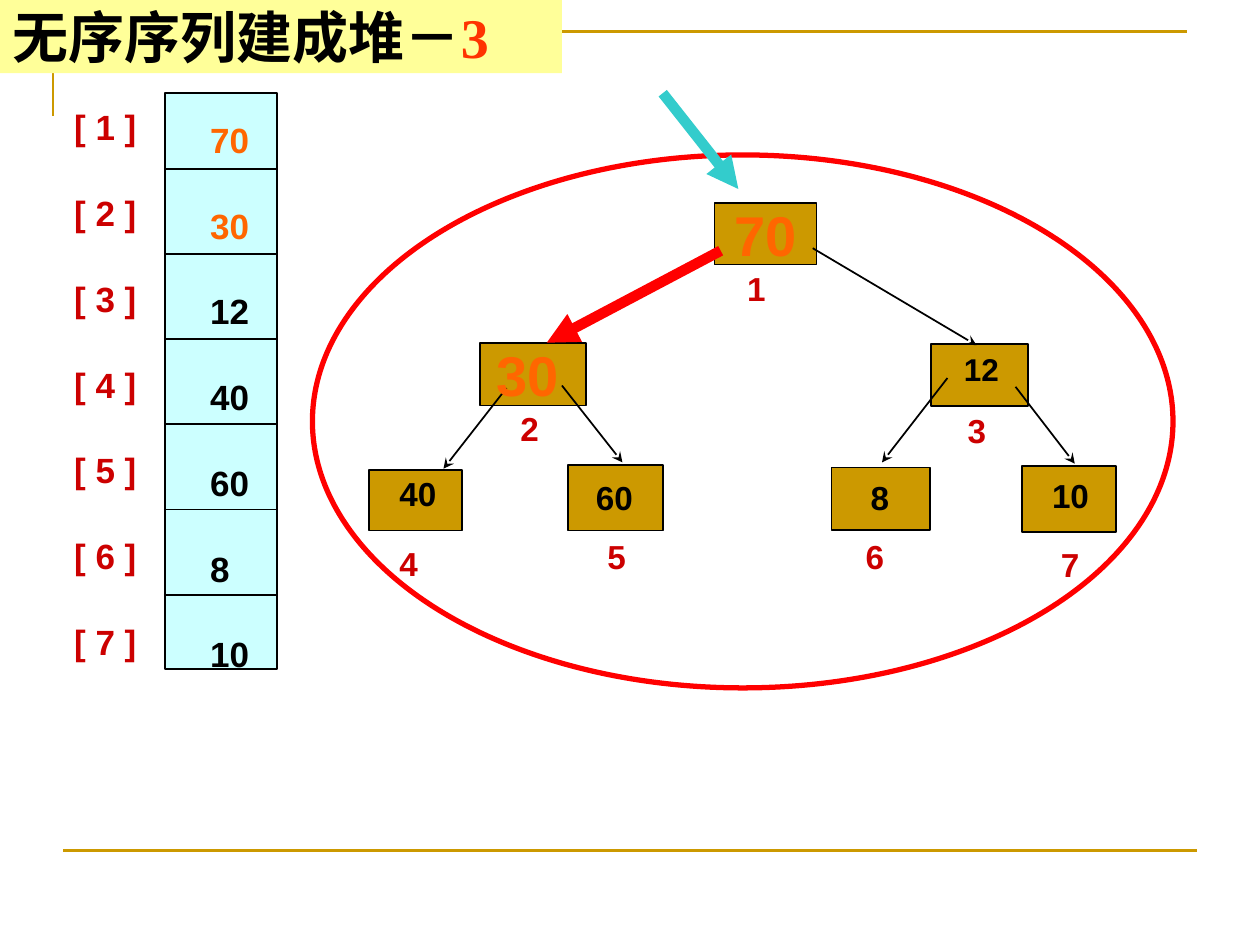
"""Build the slide showing step 3 of turning an unsorted sequence into a heap."""
from dataclasses import dataclass

from lxml.etree import SubElement
from pptx import Presentation
from pptx.dml.color import RGBColor
from pptx.enum.shapes import MSO_CONNECTOR, MSO_SHAPE
from pptx.enum.text import MSO_ANCHOR, PP_ALIGN
from pptx.oxml.ns import qn
from pptx.util import Inches, Pt


@dataclass(frozen=True)
class Theme:
    black: str = "000000"
    white: str = "FFFFFF"
    gold: str = "CC9900"
    red: str = "FF0000"
    index: str = "CC0000"
    moved: str = "FF6600"
    step: str = "FF3300"
    pointer: str = "33CCCC"
    array: str = "CCFFFF"
    banner: str = "FFFF99"
    title_size: int = 32
    array_size: int = 20
    node_size: int = 19
    small_size: int = 18
    body_font: str = "Arial"
    title_font: str = "Times New Roman"


theme = Theme()


def add_text(left, top, width, height, lines, size, margins=(0.08, 0.04), gap=0):
    box = page.shapes.add_textbox(Inches(left), Inches(top), Inches(width), Inches(height))
    frame = box.text_frame
    frame.word_wrap = True
    frame.margin_left = frame.margin_right = Inches(margins[0])
    frame.margin_top = frame.margin_bottom = Inches(margins[1])
    for number, (text, color) in enumerate(lines):
        para = frame.paragraphs[0] if number == 0 else frame.add_paragraph()
        if number:
            para.space_before = Pt(gap)
        span = para.add_run()
        span.text = text
        span.font.name, span.font.size, span.font.bold = theme.body_font, Pt(size), True
        span.font.color.rgb = RGBColor.from_string(color)


def add_line(start, end, color=theme.black, width=1, arrow=None):
    line = page.shapes.add_connector(MSO_CONNECTOR.STRAIGHT, *map(Inches, start + end))
    line.line.color.rgb = RGBColor.from_string(color)
    line.line.width = Pt(width)
    if arrow:
        SubElement(line.line._get_or_add_ln(), qn("a:tailEnd"), type=arrow)
    SubElement(line._element.spPr, qn("a:effectLst"))


deck = Presentation()
deck.slide_width, deck.slide_height = Inches(10), Inches(7.5)
page = deck.slides.add_slide(deck.slide_layouts[6])

builder = page.shapes.build_freeform(Inches(0.42), Inches(0.92))
builder.add_line_segments([(Inches(0.42), Inches(0.25)), (Inches(9.42), Inches(0.25))], close=False)
corner = builder.convert_to_shape()
corner.shadow.inherit = False
corner.fill.background()
corner.line.color.rgb = RGBColor.from_string(theme.gold)
corner.line.width = Pt(1.5)
add_line((0.5, 6.75), (9.5, 6.75), theme.gold, 1.5)

node_boxes = [
    (5.67, 1.61, 0.81, 0.49), (3.81, 2.72, 0.84, 0.5), (7.39, 2.73, 0.77, 0.49),
    (2.93, 3.73, 0.74, 0.48), (4.51, 3.69, 0.75, 0.52), (6.6, 3.71, 0.78, 0.5),
    (8.11, 3.7, 0.75, 0.52),
]
panels = [(MSO_SHAPE.OVAL, (2.48, 1.23, 6.83, 4.23), theme.white, theme.red, 3)]
panels += [(MSO_SHAPE.RECTANGLE, box, theme.gold, theme.black, 1) for box in node_boxes]
panels += [
    (MSO_SHAPE.RECTANGLE, (1.31, 0.74, 0.89, 4.57), theme.array, theme.black, 1),
    (MSO_SHAPE.RECTANGLE, (0, 0, 4.46, 0.58), theme.banner, None, 0),
]
for kind, box, fill, outline, width in panels:
    panel = page.shapes.add_shape(kind, *map(Inches, box))
    panel.shadow.inherit = False
    panel.fill.solid()
    panel.fill.fore_color.rgb = RGBColor.from_string(fill)
    if outline:
        panel.line.color.rgb = RGBColor.from_string(outline)
        panel.line.width = Pt(width)
    else:
        panel.line.fill.background()

banner = panel.text_frame
banner.word_wrap = True
banner.vertical_anchor = MSO_ANCHOR.MIDDLE
para = banner.paragraphs[0]
para.alignment = PP_ALIGN.LEFT
for text, color in (("无序序列建成堆－", theme.black), ("3", theme.step)):
    span = para.add_run()
    span.text = text
    span.font.name, span.font.size, span.font.bold = theme.title_font, Pt(theme.title_size), True
    span.font.color.rgb = RGBColor.from_string(color)

for row in range(6):
    divider = 1.34 + 0.676 * row
    add_line((1.3, divider), (2.2, divider))

values = ["70", "30", "12", "40", "60", "8", "10"]
value_colors = [theme.moved] * 2 + [theme.black] * 5
indexes = [(f"[ {number} ]", theme.index) for number in range(1, 8)]
for left, top, width, lines in (
    (0.49, 0.79, 0.75, indexes),
    (1.57, 0.89, 0.6, list(zip(values, value_colors))),
):
    add_text(left, top, width, 4.42, lines, theme.array_size, (0.1, 0.05), 25)

for start, end in (
    ((6.45, 1.97), (7.75, 2.74)),
    ((4.02, 3.08), (3.52, 3.72)),
    ((4.46, 3.06), (4.94, 3.67)),
    ((7.52, 3), (7, 3.67)),
    ((8.06, 3.07), (8.53, 3.68)),
):
    add_line(start, end, arrow="stealth")

value_places = [(5.75, 1.55), (3.86, 2.66), (7.57, 2.74), (3.09, 3.72),
                (4.65, 3.75), (6.83, 3.75), (8.27, 3.73)]
value_sizes = [theme.title_size] * 2 + [theme.small_size] + [theme.node_size] * 4
for (left, top), text, size, color in zip(value_places, values, value_sizes, value_colors):
    height = 0.61 if size == theme.title_size else 0.4
    add_text(left, top, 0.8, height, [(text, color)], size)

index_places = [(5.85, 2.09), (4.05, 3.2), (7.6, 3.22), (3.09, 4.27),
                (4.74, 4.22), (6.79, 4.22), (8.34, 4.28)]
for number, (left, top) in enumerate(index_places, 1):
    add_text(left, top, 0.5, 0.4, [(str(number), theme.index)], theme.node_size)

add_line((5.26, 0.74), (5.86, 1.5), theme.pointer, 6, "triangle")
add_line((5.72, 1.99), (4.34, 2.72), theme.red, 6, "triangle")

deck.save("out.pptx")
